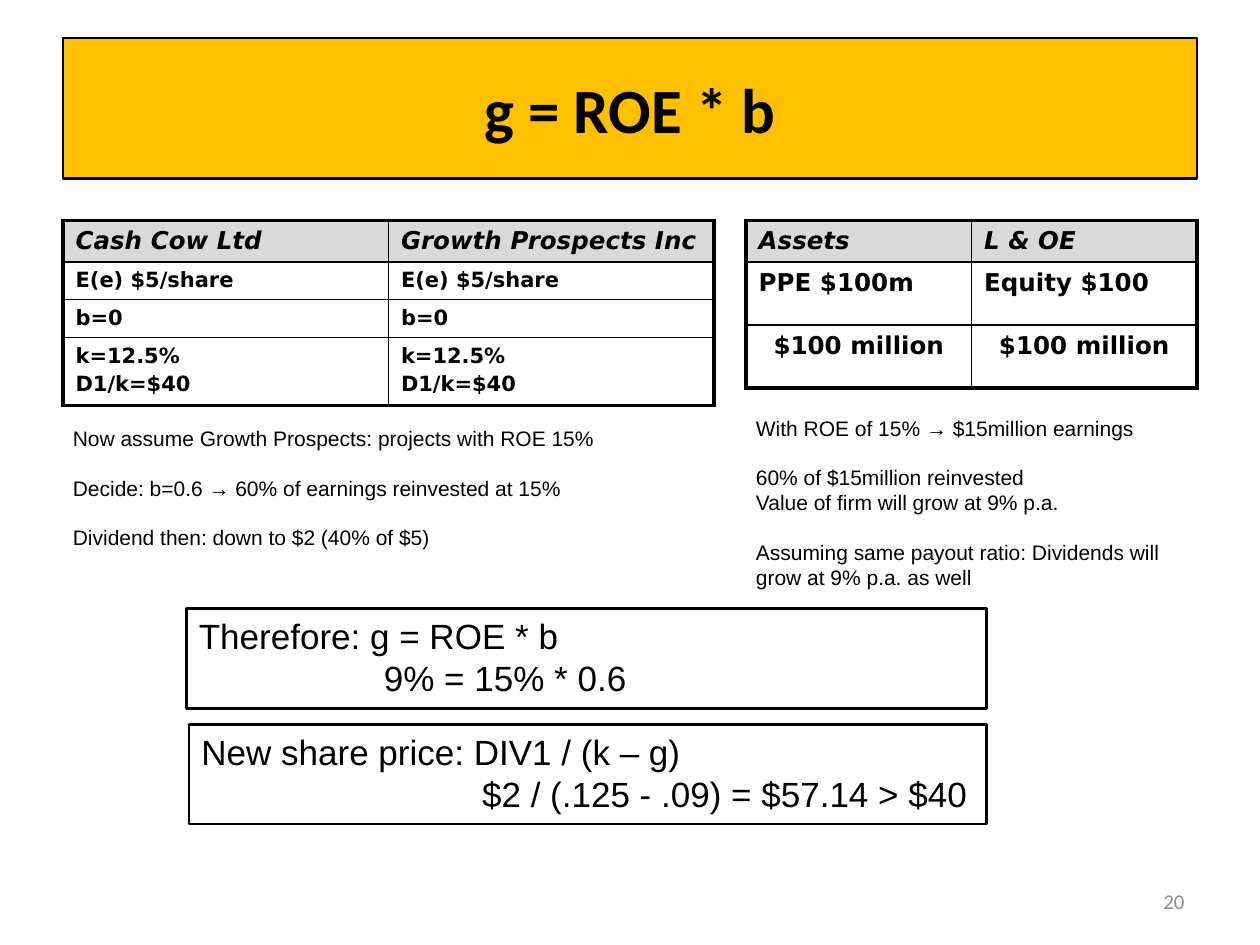
from dataclasses import dataclass
from typing import NamedTuple

from lxml.etree import SubElement
from pptx import Presentation
from pptx.dml.color import RGBColor
from pptx.enum.shapes import MSO_SHAPE as Shape
from pptx.enum.text import MSO_ANCHOR as Anchor, PP_ALIGN as Align
from pptx.oxml.ns import qn
from pptx.util import Cm, Pt


@dataclass(frozen=True)
class Theme:
    ink: str = "000000"
    gold: str = "FFC000"
    header: str = "D9D9D9"
    muted: str = "8C8C8C"
    title_font: str = "Calibri"
    body_font: str = "Arial"
    table_font: str = "DejaVu Sans"
    title: float = 36
    formula: float = 20
    table_large: float = 14
    body: float = 12
    box_line: float = 1.5
    outer_line: float = 2.25
    inner_line: float = 1


THEME = Theme()


class Area(NamedTuple):
    left: float
    top: float
    width: float
    height: float


class Style(NamedTuple):
    font: str
    size: float
    color: str = THEME.ink
    bold: bool = False
    italic: bool = False


class Line(NamedTuple):
    text: str
    before: float = 0
    indent: float = 0
    align: Align = Align.LEFT


@dataclass(frozen=True)
class Grid:
    area: Area
    row_heights: tuple
    rows: tuple
    body_size: float
    centred_rows: tuple = ()


def write(frame, lines: list[Line], style: Style) -> None:
    """Fill a text frame with one paragraph per line."""
    for index, line in enumerate(lines):
        para = frame.add_paragraph() if index else frame.paragraphs[0]
        para.alignment = line.align
        para.space_before = Pt(line.before)
        if line.indent:
            para._p.get_or_add_pPr().set("marL", str(Cm(line.indent)))
        span = para.add_run()
        span.text = line.text
        font = span.font
        font.name, font.size = style.font, Pt(style.size)
        font.bold, font.italic = style.bold, style.italic
        font.color.rgb = RGBColor.from_string(style.color)


def place(area: Area) -> list:
    return [Cm(value) for value in area]


def add_text(page, area: Area, lines: list[Line], style: Style,
             anchor: Anchor = Anchor.TOP) -> None:
    frame = page.shapes.add_textbox(*place(area)).text_frame
    frame.word_wrap = True
    frame.vertical_anchor = anchor
    write(frame, lines, style)


def add_box(page, area: Area, lines: list[Line], style: Style,
            fill: str = "", anchor: Anchor = Anchor.TOP) -> None:
    box = page.shapes.add_shape(Shape.RECTANGLE, *place(area))
    box.shadow.inherit = False
    if fill:
        box.fill.solid()
        box.fill.fore_color.rgb = RGBColor.from_string(fill)
    else:
        box.fill.background()
    box.line.color.rgb = RGBColor.from_string(THEME.ink)
    box.line.width = Pt(THEME.box_line)
    box.text_frame.word_wrap = True
    box.text_frame.vertical_anchor = anchor
    write(box.text_frame, lines, style)


def set_borders(cell, outer_sides: dict[str, bool]) -> None:
    """Draw thick lines on the table's outer sides, thin ones elsewhere."""
    props = cell._tc.get_or_add_tcPr()
    for index, (side, is_outer) in enumerate(outer_sides.items()):
        width = THEME.outer_line if is_outer else THEME.inner_line
        edge = SubElement(props, qn(f"a:{side}"), w=str(Pt(width)))
        fill = SubElement(edge, qn("a:solidFill"))
        SubElement(fill, qn("a:srgbClr"), val=THEME.ink)
        props.insert(index, edge)  # borders come before the cell fill


def add_grid(page, grid: Grid) -> None:
    last_row, last_col = len(grid.rows) - 1, len(grid.rows[0]) - 1
    table = page.shapes.add_table(last_row + 1, last_col + 1,
                                  *place(grid.area)).table
    table.first_row = table.horz_banding = False
    for row, height in zip(table.rows, grid.row_heights):
        row.height = Cm(height)
    for r, texts in enumerate(grid.rows):
        is_header = r == 0
        size = THEME.table_large if is_header else grid.body_size
        style = Style(THEME.table_font, size, bold=True, italic=is_header)
        align = Align.CENTER if r in grid.centred_rows else Align.LEFT
        for c, text in enumerate(texts):
            cell = table.cell(r, c)
            if is_header:
                cell.fill.solid()
                cell.fill.fore_color.rgb = RGBColor.from_string(THEME.header)
            else:
                cell.fill.background()
            lines = [Line(part, before=0.2 * size if i else 0, align=align)
                     for i, part in enumerate(text.split("\n"))]
            write(cell.text_frame, lines, style)
            set_borders(cell, {"lnL": c == 0, "lnR": c == last_col,
                               "lnT": r == 0, "lnB": r == last_row})


def main() -> None:
    deck = Presentation()
    deck.slide_width, deck.slide_height = Cm(25.4), Cm(19.05)
    page = deck.slides.add_slide(deck.slide_layouts[6])
    body = Style(THEME.body_font, THEME.body)
    formula = Style(THEME.body_font, THEME.formula)
    gap = 1.15 * THEME.body  # one line of body text

    # Title
    add_box(page, Area(1.27, 0.77, 22.86, 2.83),
            [Line("g = ROE * b", align=Align.CENTER)],
            Style(THEME.title_font, THEME.title, bold=True),
            THEME.gold, Anchor.MIDDLE)

    # Company comparison and balance sheet
    add_grid(page, Grid(
        Area(1.27, 4.44, 13.12, 3.74), (0.84, 0.76, 0.76, 1.38),
        (("Cash Cow Ltd", "Growth Prospects Inc"),
         *[(text, text) for text in
           ("E(e) $5/share", "b=0", "k=12.5%\nD1/k=$40")]),
        THEME.body))
    add_grid(page, Grid(
        Area(15.04, 4.44, 9.09, 3.38), (0.84, 1.27, 1.27),
        (("Assets", "L & OE"), ("PPE $100m", "Equity $100"),
         ("$100 million", "$100 million")),
        THEME.table_large, centred_rows=(2,)))

    # Notes under the tables
    add_text(page, Area(1.22, 8.46, 12.42, 2.79), [
        Line("Now assume Growth Prospects: projects with ROE 15%"),
        Line("Decide: b=0.6 → 60% of earnings reinvested at 15%", gap),
        Line("Dividend then: down to $2 (40% of $5)", gap)], body)
    add_text(page, Area(14.99, 8.25, 9.8, 3.81), [
        Line("With ROE of 15% → $15million earnings"),
        Line("60% of $15million reinvested", gap),
        Line("Value of firm will grow at 9% p.a."),
        Line("Assuming same payout ratio: Dividends will", gap),
        Line("grow at 9% p.a. as well")], body)

    # Conclusions
    add_box(page, Area(3.76, 12.27, 16.13, 2.01), [
        Line("Therefore: g = ROE * b"),
        Line("9% = 15% * 0.6", indent=3.73)], formula)
    add_box(page, Area(3.81, 14.6, 16.08, 2.01), [
        Line("New share price: DIV1 / (k – g)"),
        Line("$2 / (.125 - .09) = $57.14 > $40", indent=5.66)], formula)

    # Page number
    add_text(page, Area(18.21, 17.65, 5.92, 1.02),
             [Line("20", align=Align.RIGHT)],
             Style(THEME.title_font, THEME.body, THEME.muted), Anchor.MIDDLE)

    deck.save("out.pptx")


if __name__ == "__main__":
    main()
